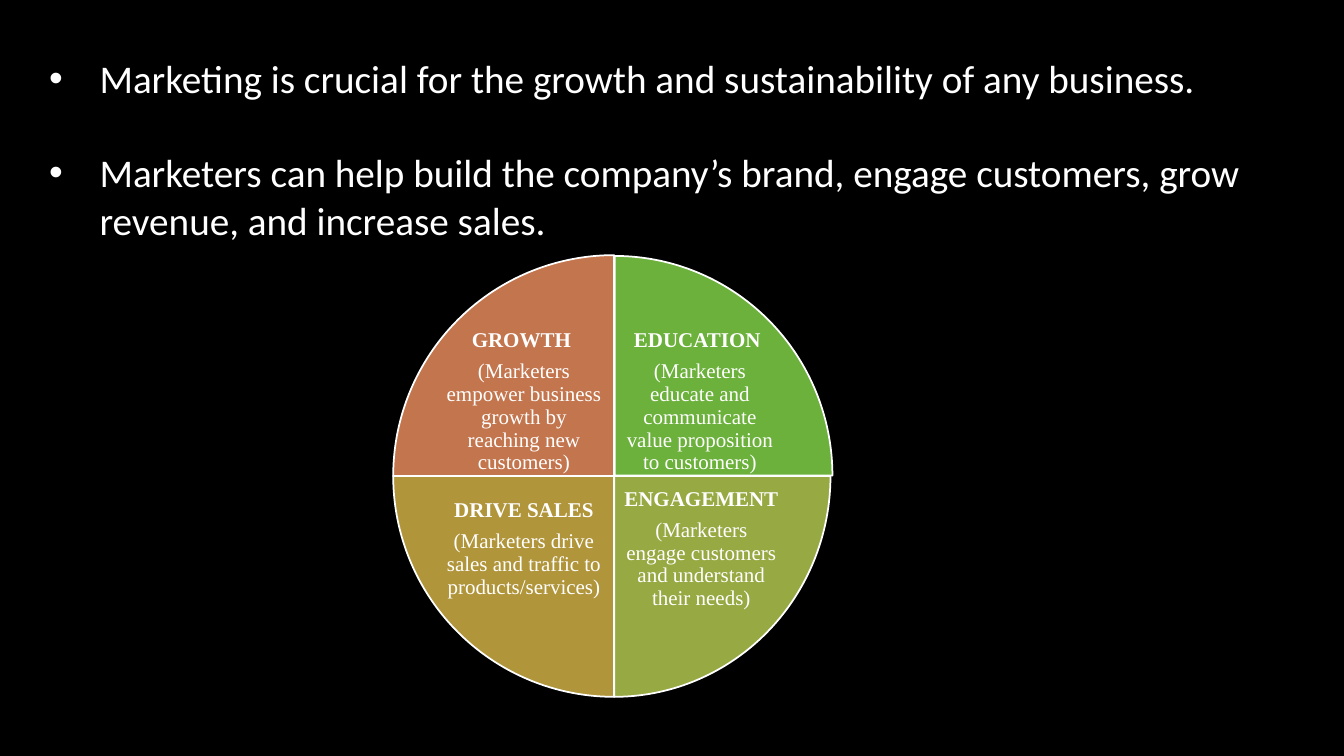
from lxml import etree
from pptx import Presentation
from pptx.dml.color import RGBColor
from pptx.enum.shapes import MSO_SHAPE
from pptx.enum.text import MSO_ANCHOR, PP_ALIGN
from pptx.oxml.ns import qn
from pptx.util import Cm, Pt

PIE = MSO_SHAPE.PIE
MIDDLE = MSO_ANCHOR.MIDDLE
CENTER = PP_ALIGN.CENTER

BULLETS = [
    "Marketing is crucial for the growth and sustainability of any business.",
    "Marketers can help build the company’s brand, engage customers, grow revenue, "
    "and increase sales.",
]
QUARTER = 54  # a quarter turn in adjustment units
FULL_TURN = 4 * QUARTER
UPPER, LOWER = 8.48, 12.19  # tops of the two caption rows

# colour, pie box, start angle, caption left, top, width, heading, detail
SECTORS = [
    ("6BB13B", (10.01, 6.45, 10.97, 11.07), 3 * QUARTER, 15.62, UPPER, 4.04, "EDUCATION ",
     "(Marketers educate and communicate value proposition to customers)"),
    ("97A942", (10.03, 6.43, 10.9, 11.13), 0, 15.67, LOWER, 4.01, "ENGAGEMENT",
     "(Marketers engage customers and understand their needs)"),
    ("B1953B", (9.91, 6.43, 11.13, 11.13), QUARTER, 11.15, LOWER, 4.11, "DRIVE SALES",
     "(Marketers drive sales and traffic to products/services)"),
    ("C3754D", (9.91, 6.43, 11.13, 11.13), 2 * QUARTER, 11.15, UPPER, 4.11, "GROWTH ",
     "(Marketers empower business growth by reaching new customers)"),
]


def rgb(value):
    return RGBColor.from_string(value)


def write(p, text, font, size, color="FFFFFF", bold=False, align=None, after=0, spacing=1.0):
    """Put one formatted run in a paragraph."""
    p.alignment, p.space_after, p.line_spacing = align, Pt(after), spacing
    r = p.add_run()
    r.text = text
    r.font.name, r.font.size, r.font.bold = font, Pt(size), bold
    r.font.color.rgb = rgb(color)


class Deck:
    """Holds the style and the current slide."""
    body_font = "Calibri"
    caption_font = "Times New Roman"
    line_color = "FFFFFF"

    def __init__(self, prs, background):
        self.slide = prs.slides.add_slide(prs.slide_layouts[6])
        fill = self.slide.background.fill
        fill.solid()
        fill.fore_color.rgb = rgb(background)

    def text_frame(self, box):
        tf = self.slide.shapes.add_textbox(*map(Cm, box)).text_frame
        tf.word_wrap = True
        return tf

    def bullets(self, box, items):
        tf = self.text_frame(box)
        for i, item in enumerate(items):
            p = tf.add_paragraph() if i else tf.paragraphs[0]
            write(p, item, self.body_font, 28, after=34 if i < len(items) - 1 else 0)
            pPr = p._p.get_or_add_pPr()
            pPr.set("marL", str(Cm(1.27)))
            pPr.set("indent", str(-Cm(1.27)))
            etree.SubElement(pPr, qn("a:buFont")).set("typeface", "Arial")
            etree.SubElement(pPr, qn("a:buChar")).set("char", "•")

    def sector(self, box, start, color):
        sp = self.slide.shapes.add_shape(PIE, *map(Cm, box))
        sp.shadow.inherit = False
        sp.adjustments[0] = start
        sp.adjustments[1] = (start + QUARTER) % FULL_TURN
        sp.fill.solid()
        sp.fill.fore_color.rgb = rgb(color)
        sp.line.color.rgb = rgb(self.line_color)
        sp.line.width = Pt(1.25)

    def caption(self, box, heading, detail):
        tf = self.text_frame(box)
        tf.vertical_anchor = MIDDLE
        tf.margin_left = tf.margin_right = tf.margin_top = tf.margin_bottom = Cm(0.05)
        style = dict(font=self.caption_font, size=15, align=CENTER, after=6, spacing=0.9)
        write(tf.paragraphs[0], heading, bold=True, **style)
        write(tf.add_paragraph(), detail, **style)


def main():
    prs = Presentation()
    prs.slide_width, prs.slide_height = Cm(33.87), Cm(19.05)
    deck = Deck(prs, "000000")
    deck.bullets((0.99, 1.24, 30.78, 5.05), BULLETS)
    for color, box, start, left, top, width, heading, detail in SECTORS:
        deck.sector(box, start, color)
        deck.caption((left, top, width, 3.3), heading, detail)
    prs.save("out.pptx")


if __name__ == "__main__":
    main()
